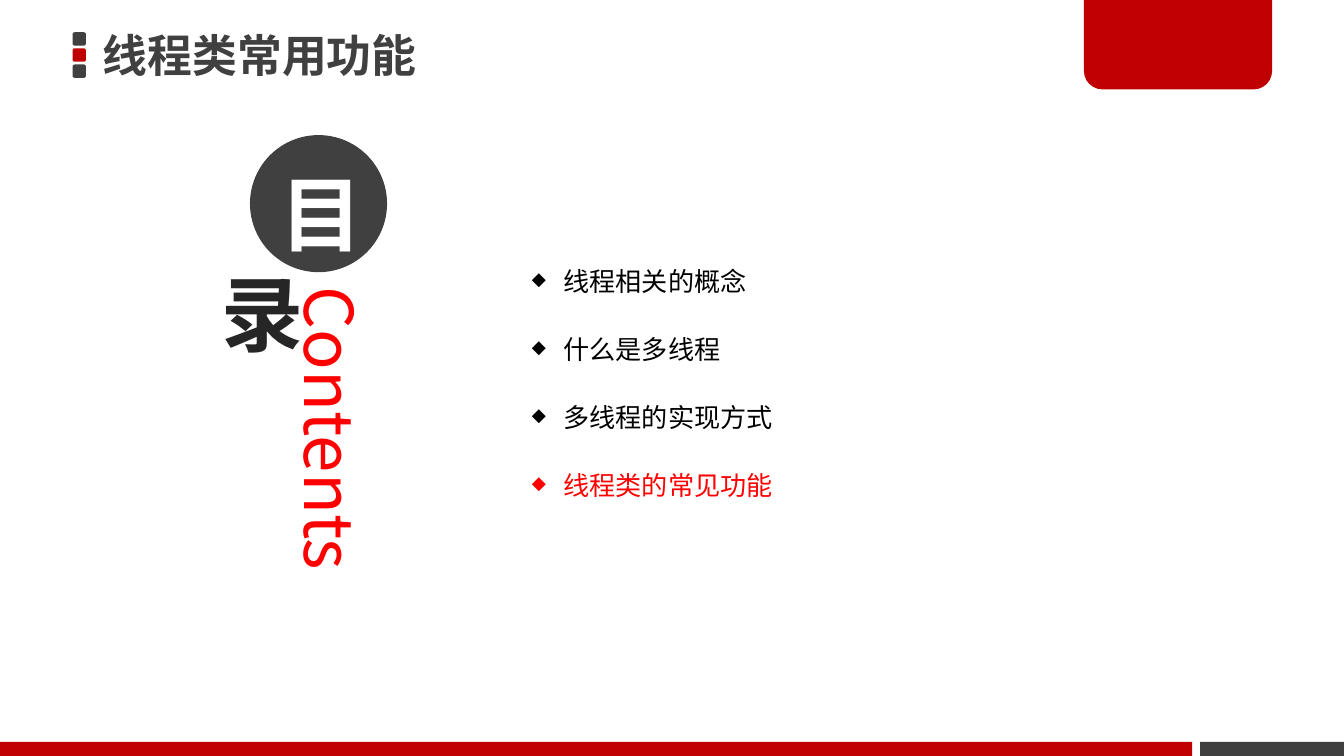
import pptx
import pptx.util
import pptx.dml.color
import pptx.enum.shapes
import pptx.enum.text
import pptx.oxml
import pptx.oxml.ns

SCALE = 4572
COLORS = {"dark": "404040", "red": "C00000", "bright": "FF0000", "white": "FFFFFF",
          "ink": "262626", "black": "000000"}
SHAPES = pptx.enum.shapes.MSO_SHAPE
ALIGN = pptx.enum.text.PP_ALIGN
ANCHOR = pptx.enum.text.MSO_ANCHOR
NAMESPACE = pptx.oxml.ns.nsdecls("a")

presentation = pptx.Presentation()
presentation.slide_width = 2000 * SCALE
presentation.slide_height = 1125 * SCALE
slide = presentation.slides.add_slide(presentation.slide_layouts[6])


def add_shape(kind, box, color=None):
    shape = slide.shapes.add_shape(kind, *[length * SCALE for length in box])
    shape.shadow.inherit = False
    shape.line.fill.background()
    if color:
        shape.fill.solid()
        shape.fill.fore_color.rgb = pptx.dml.color.RGBColor.from_string(COLORS[color])
    else:
        shape.fill.background()
    return shape


def write_text(shape, lines, size, bold=False, font="Noto Sans CJK SC", bottom=8,
               side=15, top=8, anchor=ANCHOR.MIDDLE, paragraph_format=None):
    frame = shape.text_frame
    frame_format = {"word_wrap": True, "vertical_anchor": anchor,
                    "margin_left": side * SCALE, "margin_right": side * SCALE,
                    "margin_top": top * SCALE, "margin_bottom": bottom * SCALE}
    for name, value in frame_format.items():
        setattr(frame, name, value)
    for index, (text, color) in enumerate(lines):
        paragraph = frame.add_paragraph() if index else frame.paragraphs[0]
        for name, value in (paragraph_format or {}).items():
            setattr(paragraph, name, value)
        run = paragraph.add_run()
        run.text = text
        font_format = {"size": pptx.util.Pt(size), "bold": bold, "name": font}
        for name, value in font_format.items():
            setattr(run.font, name, value)
        run.font.color.rgb = pptx.dml.color.RGBColor.from_string(COLORS[color])
        run.font._element.append(pptx.oxml.parse_xml(f'<a:ea {NAMESPACE} typeface="{font}"/>'))


for index, color in enumerate(["dark", "red", "dark"]):
    add_shape(SHAPES.ROUNDED_RECTANGLE, (108, 48 + 24 * index, 20, 20), color)

add_shape(SHAPES.RECTANGLE, (1786, 1104, 214, 21), "dark")
tab = add_shape(SHAPES.ROUND_2_SAME_RECTANGLE, (1613, -4, 280, 137), "red")
tab.rotation = 180
tab.adjustments[0] = 0.2
add_shape(SHAPES.RECTANGLE, (0, 1104, 1774, 21), "red")

contents = slide.shapes.add_textbox(*[length * SCALE for length in (428, 419, 140, 578)])
write_text(contents, [("Contents", "bright")], 36, anchor=ANCHOR.TOP)
contents.text_frame._txBody.bodyPr.set("vert", "eaVert")

first_circle = add_shape(SHAPES.OVAL, (372, 201, 204, 204), "dark")
write_text(first_circle, [("目", "white")], 44, bold=True, bottom=30,
           paragraph_format={"alignment": ALIGN.CENTER, "line_spacing": pptx.util.Pt(70)})
second_circle = add_shape(SHAPES.OVAL, (292, 385, 160, 160))
write_text(second_circle, [("录", "ink")], 44, bold=True,
           paragraph_format={"alignment": ALIGN.CENTER})

topics = [(" 线程相关的概念", "black"), (" 什么是多线程", "black"),
          (" 多线程的实现方式", "black"), (" 线程类的常见功能", "bright")]
agenda = slide.shapes.add_textbox(*[length * SCALE for length in (772, 339, 944, 426)])
write_text(agenda, topics, 14, side=20, top=10, bottom=10, anchor=ANCHOR.TOP,
           paragraph_format={"line_spacing": pptx.util.Pt(33.6),
                             "space_before": pptx.util.Pt(2.8)})
for paragraph in agenda.text_frame.paragraphs:
    properties = paragraph._p.get_or_add_pPr()
    properties.set("marL", str(38 * SCALE))
    properties.set("indent", str(-38 * SCALE))
    for bullet in ('buSzPct {} val="70000"', 'buChar {} char="◆"'):
        properties.append(pptx.oxml.parse_xml(f"<a:{bullet.format(NAMESPACE)}/>"))

title = slide.shapes.add_textbox(*[length * SCALE for length in (138, 39, 1438, 84)])
write_text(title, [("线程类常用功能", "dark")], 24, bold=True, font="Noto Sans CJK JP")

presentation.save("out.pptx")
